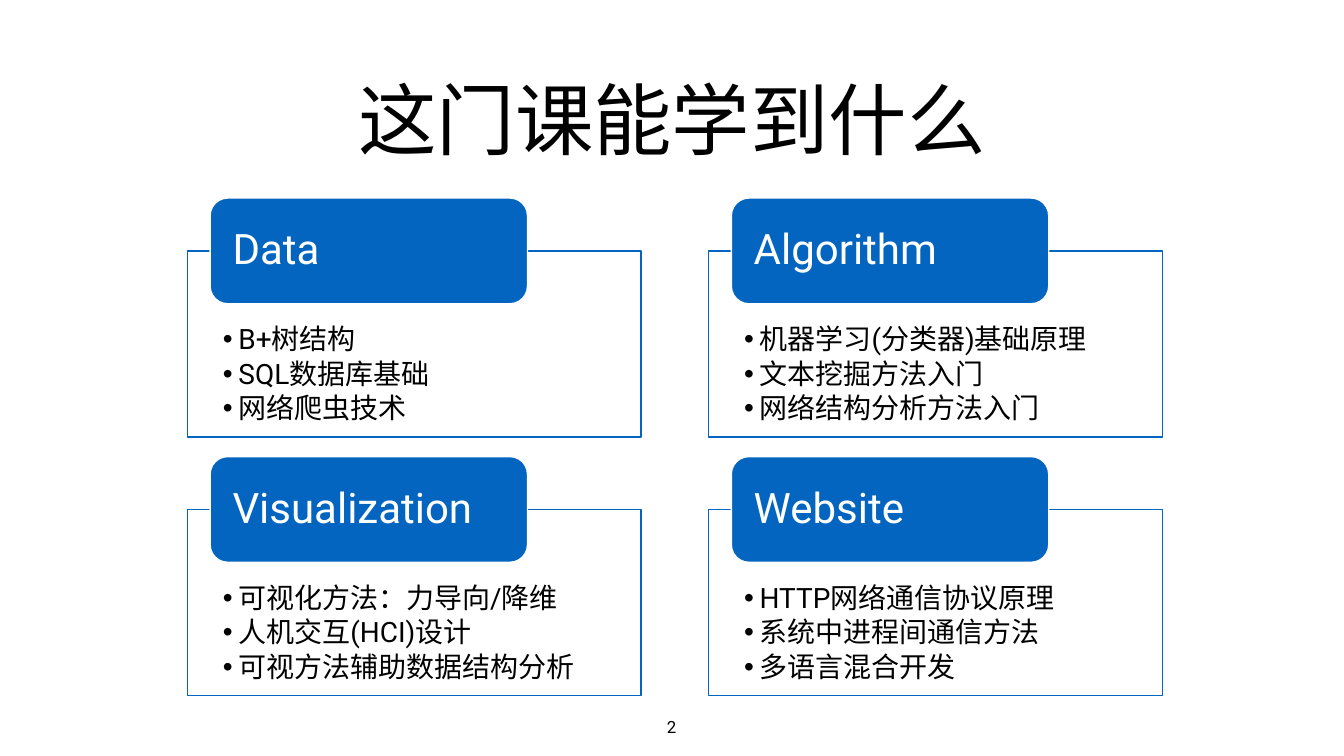
from dataclasses import dataclass

import pptx
import pptx.dml.color
import pptx.enum.shapes
import pptx.enum.text
import pptx.oxml
import pptx.oxml.ns
import pptx.util
from pptx.util import Cm

ALIGN = pptx.enum.text.PP_ALIGN
ANCHOR = pptx.enum.text.MSO_ANCHOR
LATIN, CHINESE = "Roboto", "Noto Sans CJK SC"
BLUE, WHITE, BLACK = "0365C0", "FFFFFF", "000000"
LEFT, TOP = 9.45, 12.65
COLUMN_STEP, ROW_STEP = 26.27, 13.03
INDENT = Cm(0.79)


@dataclass
class Topic:
    """A heading with what is learned under it."""
    heading: str
    lessons: tuple[str, ...]


TOPICS = (
    Topic("Data", ("B+树结构", "SQL数据库基础", "网络爬虫技术")),
    Topic("Algorithm", ("机器学习(分类器)基础原理", "文本挖掘方法入门", "网络结构分析方法入门")),
    Topic("Visualization", ("可视化方法：力导向/降维", "人机交互(HCI)设计", "可视方法辅助数据结构分析")),
    Topic("Website", ("HTTP网络通信协议原理", "系统中进程间通信方法", "多语言混合开发")),
)


def rgb(code: str) -> pptx.dml.color.RGBColor:
    """Turn a hex string into a colour."""
    return pptx.dml.color.RGBColor.from_string(code)


def assign(target: object, values: dict) -> None:
    """Set each named attribute of the target."""
    for name, value in values.items():
        setattr(target, name, value)


def place(shape, left: float, top: float, width: float, height: float) -> None:
    """Move and size a shape, in centimetres."""
    assign(shape, {"left": Cm(left), "top": Cm(top), "width": Cm(width), "height": Cm(height)})


def paint(shape, fill: str, line: str) -> None:
    """Give a shape a solid fill and a two-point outline."""
    shape.fill.solid()
    shape.fill.fore_color.rgb = rgb(fill)
    shape.line.color.rgb = rgb(line)
    shape.line.width = pptx.util.Pt(2)


def write(shape, lines: tuple[str, ...], size: float, color: str, font: str = LATIN,
          margins: tuple[float, ...] = (0, 0, 0, 0), anchor=ANCHOR.MIDDLE,
          wrap: bool = True, **paragraph_format) -> None:
    """Write one paragraph per line; margins run left, top, right, bottom."""
    frame = shape.text_frame
    sides = ("margin_left", "margin_top", "margin_right", "margin_bottom")
    assign(frame, dict(zip(sides, map(Cm, margins))))
    assign(frame, {"text": "\n".join(lines), "word_wrap": wrap, "vertical_anchor": anchor,
                   "auto_size": pptx.enum.text.MSO_AUTO_SIZE.NONE})
    for paragraph in frame.paragraphs:
        assign(paragraph, {"space_before": pptx.util.Pt(0)} | paragraph_format)
        for run in paragraph.runs:
            assign(run.font, {"size": pptx.util.Pt(size), "name": font, "bold": False})
            run.font.color.rgb = rgb(color)
            east_asian = pptx.oxml.parse_xml(
                f'<a:ea {pptx.oxml.ns.nsdecls("a")} typeface="{CHINESE}"/>')
            run.font._element.find(pptx.oxml.ns.qn("a:latin")).addnext(east_asian)


def add_bullets(shape) -> None:
    """Give every paragraph a hanging bullet."""
    for paragraph in shape.text_frame.paragraphs:
        properties = paragraph._p.get_or_add_pPr()
        properties.set("marL", str(INDENT))
        properties.set("indent", str(-INDENT))
        properties.append(pptx.oxml.parse_xml(
            f'<a:buChar {pptx.oxml.ns.nsdecls("a")} char="•"/>'))


def draw_topic(slide, topic: Topic, lessons, left: float, top: float) -> None:
    """Frame the lessons and set the heading tab on the frame's top edge."""
    place(lessons, left, top, 22.86, 9.37)
    paint(lessons, WHITE, BLUE)
    write(lessons, topic.lessons, 40, BLACK, margins=(1.78, 3.76, 1.78, 0.79),
          anchor=ANCHOR.TOP, alignment=ALIGN.LEFT, line_spacing=0.9,
          space_after=pptx.util.Pt(6))
    add_bullets(lessons)

    heading = slide.shapes.add_shape(
        pptx.enum.shapes.MSO_SHAPE.ROUNDED_RECTANGLE, 0, 0, 0, 0)
    place(heading, left + 1.14, top - 2.67, 16, 5.33)
    heading.shadow.inherit = False
    paint(heading, BLUE, WHITE)
    write(heading, (topic.heading,), 60, WHITE, margins=(0.87, 0, 0.87, 0),
          alignment=ALIGN.LEFT, line_spacing=0.9)


def main() -> None:
    """Build the slide and save it."""
    deck = pptx.Presentation()
    assign(deck, {"slide_width": Cm(67.74), "slide_height": Cm(38.1)})
    slide = deck.slides.add_slide(deck.slide_layouts.get_by_name("Comparison"))

    title, *lesson_lists = slide.placeholders
    place(title, 12.19, 1.73, 43.36, 8.43)
    write(title, ("这门课能学到什么",), 112, BLACK, CHINESE, alignment=ALIGN.CENTER)

    for index, (topic, lessons) in enumerate(zip(TOPICS, lesson_lists)):
        row, column = divmod(index, 2)
        draw_topic(slide, topic, lessons, LEFT + column * COLUMN_STEP, TOP + row * ROW_STEP)

    page_number = slide.shapes.add_textbox(0, 0, 0, 0)
    place(page_number, 33.63, 36.14, 0.43, 1.02)
    write(page_number, ("2",), 24, BLACK, anchor=ANCHOR.TOP, wrap=False,
          alignment=ALIGN.CENTER)

    deck.save("out.pptx")


main()
